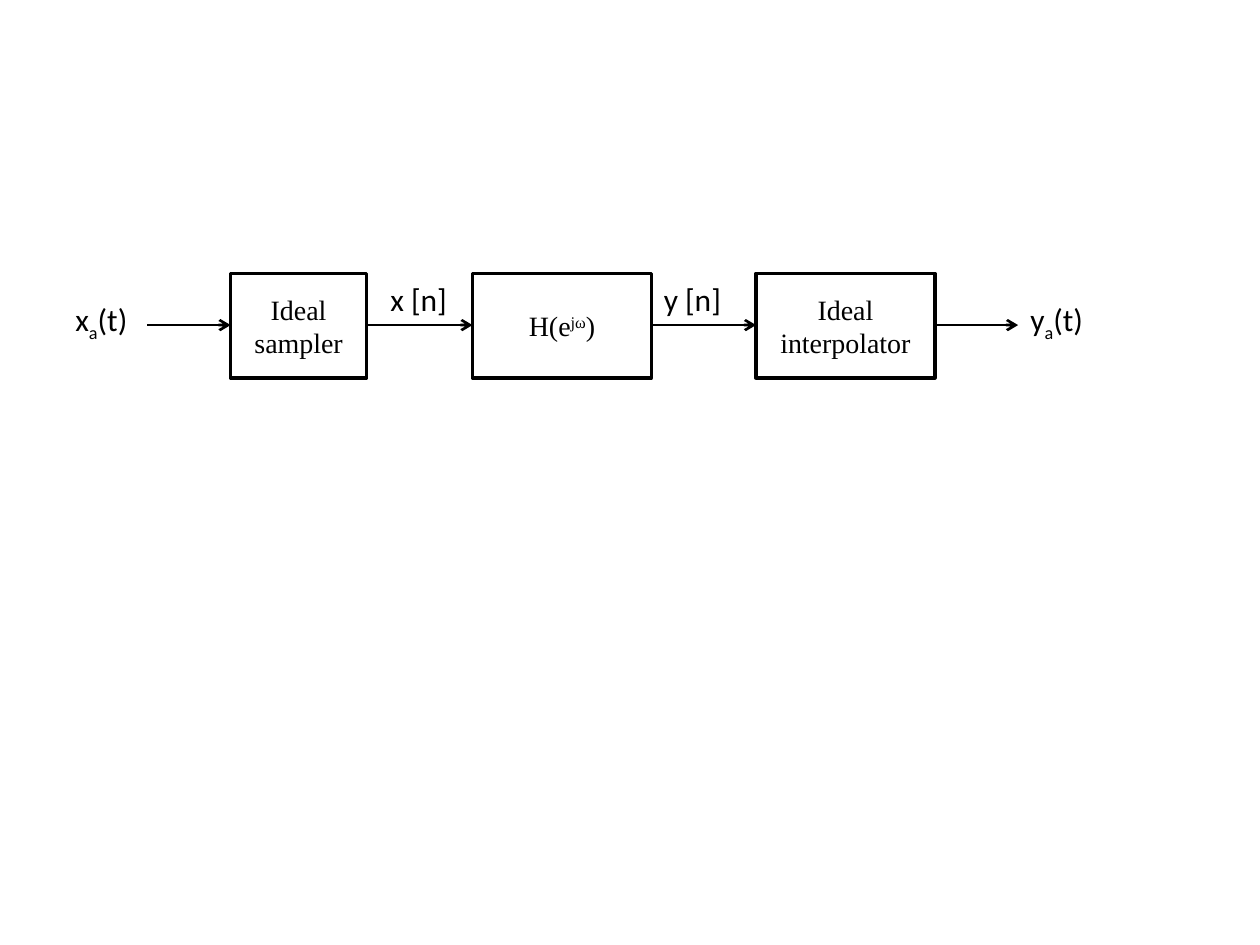
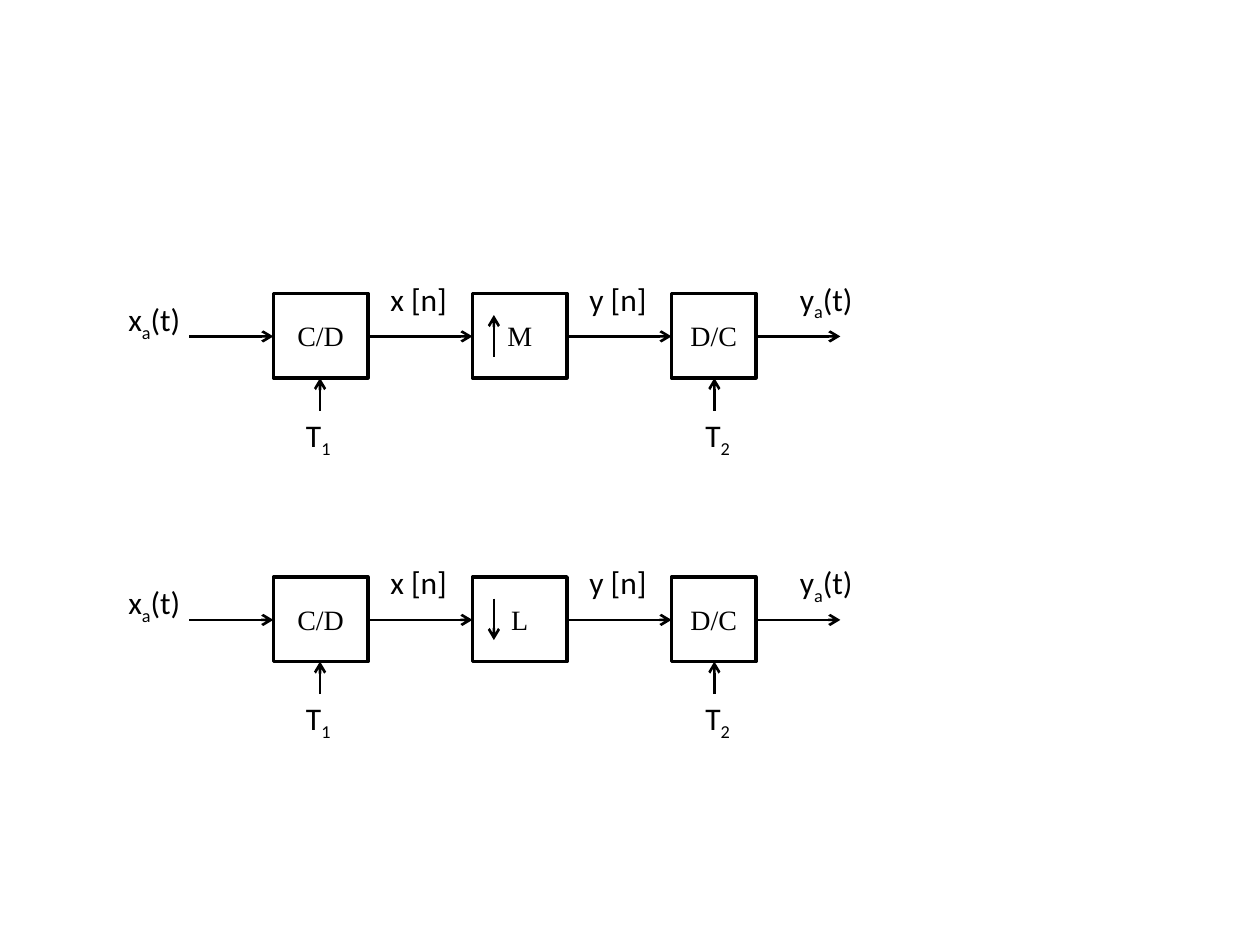
from itertools import chain
from lxml.etree import SubElement as Sub
from pptx import Presentation
from pptx.dml.color import RGBColor
from pptx.enum.shapes import MSO_CONNECTOR as Link, MSO_SHAPE as Kind
from pptx.enum.text import MSO_ANCHOR as Anchor, MSO_AUTO_SIZE as Fit, PP_ALIGN as Align
from pptx.oxml.ns import qn
from pptx.util import Inches, Pt

BLACK = RGBColor(0, 0, 0)
SERIF = {"name": "Times New Roman", "size": Pt(16)}
SANS = {"name": "Calibri", "size": Pt(18)}
BOX = {"word_wrap": True, "vertical_anchor": Anchor.MIDDLE}
LABEL = {"word_wrap": False, "auto_size": Fit.SHAPE_TO_FIT_TEXT,
         "margin_right": Inches(0.04)}
SUB, SUP = -25, 30

XA = [("x", 0), ("a", SUB), ("(t)", 0)]
YA = [("y", 0), ("a", SUB), ("(t)", 0)]
XN = [("x [n]", 0)]
YN = [("y [n]", 0)]
GAIN = [("H(e", 0), ("jω", SUP), (")", 0)]


def write(shape, runs, style, frame):
    text = shape.text_frame
    for key, value in frame.items():
        setattr(text, key, value)
    for word, base in runs:
        run = text.paragraphs[0].add_run()
        run.text = word
        run.font.color.rgb = BLACK
        for key, value in style.items():
            setattr(run.font, key, value)
        if base:
            run._r.get_or_add_rPr().set("baseline", str(base * 1000))


def arrow(group, *ends):
    line = group.shapes.add_connector(Link.STRAIGHT, *map(Inches, ends))
    line.line.color.rgb = BLACK
    line.line.width = Pt(1.5)
    Sub(line.line._get_or_add_ln(), qn("a:tailEnd"), type="arrow")
    Sub(line._element.spPr, qn("a:effectLst"))


deck = Presentation()
deck.slide_width, deck.slide_height = Inches(10), Inches(7.5)
first, second = [deck.slides.add_slide(deck.slide_layouts[6]) for _ in range(2)]

flows = [{
    "slide": first, "top": 2.17, "high": 0.83, "mid": 2.58, "ends": (1.17, 8.08),
    "boxes": [(1.83, 1.08, [("Ideal sampler", 0)]), (3.75, 1.42, GAIN),
              (6, 1.42, [("Ideal interpolator", 0)])],
    "labels": [(0.5, 2.33, 0.63, XA), (3, 2.17, 0.66, XN),
               (5.17, 2.17, 0.66, YN), (8.08, 2.33, 0.63, YA)],
    "stems": [],
}]
for drop, rate, tail, tip in [(0, "M", 2.83, 2.5), (2.25, "L", 2.5, 2.83)]:
    flows.append({
        "slide": second, "top": 2.33 + drop, "high": 0.67, "mid": 2.67 + drop,
        "ends": (1.5, 6.67),
        "boxes": [(2.17, 0.75, [("C/D", 0)]), (3.75, 0.75, [(rate, 0)]),
                  (5.33, 0.67, [("D/C", 0)])],
        "labels": [(0.92, 2.33 + drop, 0.63, XA), (3, 2.17 + drop, 0.66, XN),
                   (4.58, 2.17 + drop, 0.66, YN), (6.25, 2.17 + drop, 0.63, YA),
                   (2.33, 3.25 + drop, 0.41, [("T", 0), ("1", SUB)]),
                   (5.5, 3.25 + drop, 0.41, [("T", 0), ("2", SUB)])],
        "stems": [(2.54, 3.26 + drop, 3 + drop), (5.67, 3.26 + drop, 3 + drop),
                  (3.92, tail + drop, tip + drop)],
    })

for flow in flows:
    group = flow["slide"].shapes.add_group_shape()
    for left, wide, runs in flow["boxes"]:
        area = map(Inches, (left, flow["top"], wide, flow["high"]))
        box = group.shapes.add_shape(Kind.RECTANGLE, *area)
        box.shadow.inherit = False
        box.fill.background()
        box.line.color.rgb = BLACK
        box.line.width = Pt(2)
        write(box, runs, SERIF, BOX)
        box.text_frame.paragraphs[0].alignment = Align.CENTER
    start, end = flow["ends"]
    sides = chain.from_iterable((left, left + wide) for left, wide, _ in flow["boxes"])
    stops = [start, *sides, end]
    for here, there in zip(stops[::2], stops[1::2]):
        arrow(group, here, flow["mid"], there, flow["mid"])
    for left, top, wide, runs in flow["labels"]:
        label = group.shapes.add_textbox(*map(Inches, (left, top, wide, 0.4)))
        write(label, runs, SANS, LABEL)
    for across, tail, tip in flow["stems"]:
        arrow(group, across, tail, across, tip)

deck.save("out.pptx")
